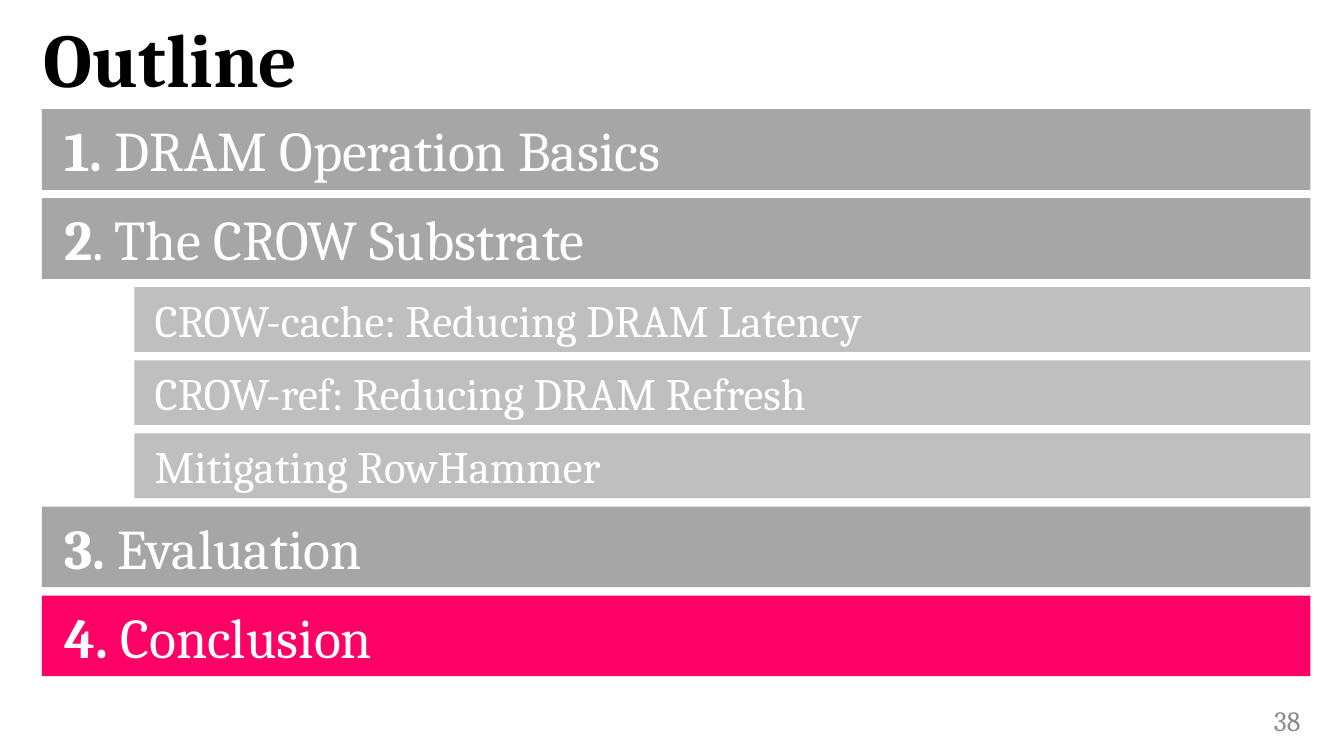
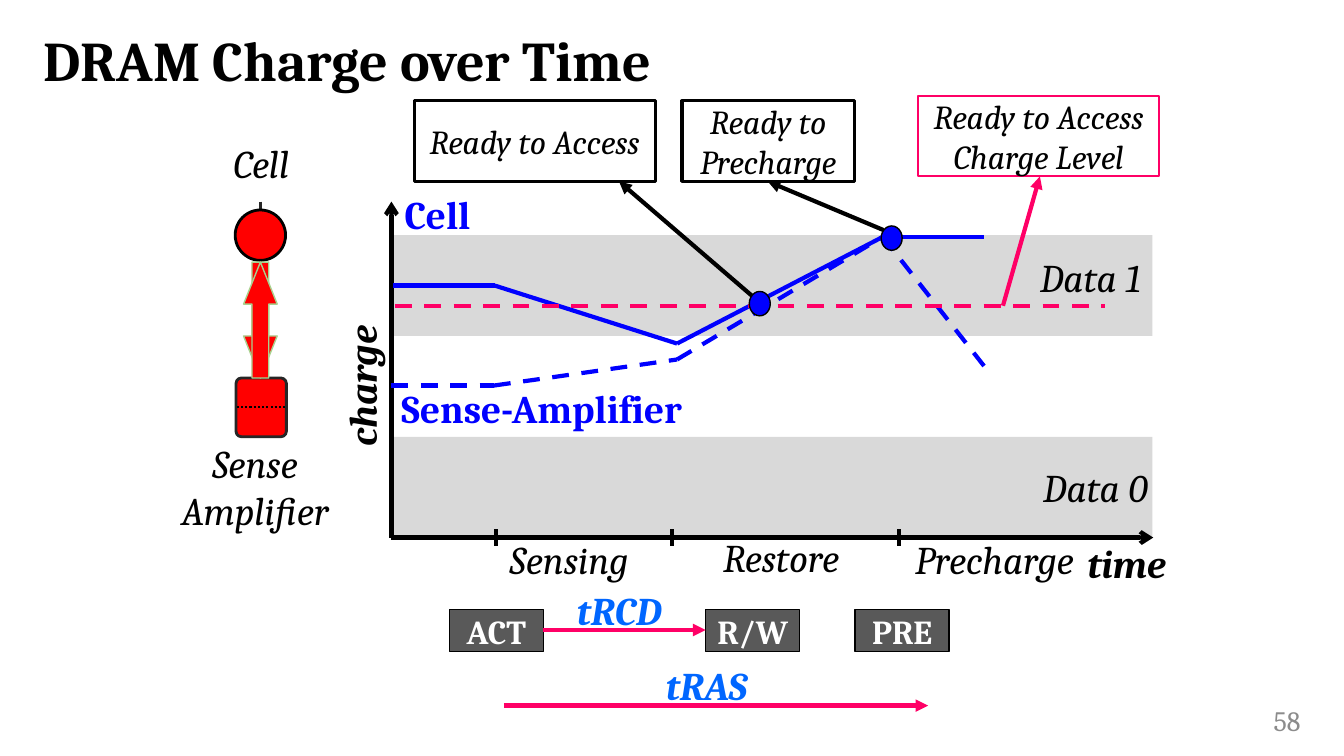
from itertools import pairwise

from lxml import etree
from pptx import Presentation
from pptx.dml.color import RGBColor
from pptx.enum.dml import MSO_LINE
from pptx.enum.shapes import MSO_CONNECTOR, MSO_SHAPE
from pptx.enum.text import MSO_ANCHOR, MSO_AUTO_SIZE, PP_ALIGN
from pptx.oxml.ns import qn
from pptx.util import Inches, Pt

RECT, ROUND, OVAL = MSO_SHAPE.RECTANGLE, MSO_SHAPE.ROUNDED_RECTANGLE, MSO_SHAPE.OVAL
DOWN, UP = MSO_SHAPE.DOWN_ARROW, MSO_SHAPE.UP_ARROW
STRAIGHT = MSO_CONNECTOR.STRAIGHT
DASH, DOT = MSO_LINE.DASH, MSO_LINE.ROUND_DOT
LEFT, CENTER, RIGHT = PP_ALIGN.LEFT, PP_ALIGN.CENTER, PP_ALIGN.RIGHT

COLORS = {
    "black": "000000", "white": "FFFFFF", "ink": "262626", "page": "8C8C8C",
    "bar": "A6A6A6", "subbar": "BFBFBF", "band": "D9D9D9", "command": "595959",
    "pink": "FF0066", "red": "FF0000", "blue": "0000FF", "timing": "0066FF", "edge": "A9D18E",
}
RGB = {name: RGBColor.from_string(value) for name, value in COLORS.items()}
FONT = "Cambria"

COLS, ROWS = 160, 90
prs = Presentation()
prs.slide_width, prs.slide_height = Inches(40 / 3), Inches(7.5)
CELL_W, CELL_H = prs.slide_width / COLS, prs.slide_height / ROWS


def add_box(s, kind, at, text="", size=28, color="black", align=CENTER, fill=None,
            line=None, weight=1, inset=0.1, **fmt):
    x, y, w, h = at
    pos = [int(v) for v in (x * CELL_W, y * CELL_H, w * CELL_W, h * CELL_H)]
    if kind is None:
        sp = s.shapes.add_textbox(*pos)
    else:
        sp = s.shapes.add_shape(kind, *pos)
        sp.shadow.inherit = False
    if fill:
        sp.fill.solid()
        sp.fill.fore_color.rgb = RGB[fill]
    else:
        sp.fill.background()
    if line:
        sp.line.color.rgb = RGB[line]
        sp.line.width = Pt(weight)
    else:
        sp.line.fill.background()
    if text:
        tf = sp.text_frame
        tf.word_wrap = True
        tf.vertical_anchor = MSO_ANCHOR.MIDDLE
        tf.margin_left = Inches(inset)
        tf.margin_right = Inches(min(inset, 0.1))
        for i, row in enumerate(text.split("\n")):
            p = tf.add_paragraph() if i else tf.paragraphs[0]
            p.alignment = align
            for j, part in enumerate(row.split("**")):
                if part:
                    r = p.add_run()
                    r.text = part
                    r.font.color.rgb = RGB[color]
                    run_fmt = {"name": FONT, "size": Pt(size), "bold": j % 2 == 1} | fmt
                    for key, value in run_fmt.items():
                        setattr(r.font, key, value)
    return sp


def add_line(s, start, end, color, weight=3, dash=None, head=None):
    (x1, y1), (x2, y2) = start, end
    ln = s.shapes.add_connector(STRAIGHT, int(x1 * CELL_W), int(y1 * CELL_H),
                                int(x2 * CELL_W), int(y2 * CELL_H))
    ln.line.color.rgb = RGB[color]
    ln.line.width = Pt(weight)
    if dash:
        ln.line.dash_style = dash
    if head:
        etree.SubElement(ln.line._get_or_add_ln(), qn("a:tailEnd"), type=head)
    etree.SubElement(ln._element.spPr, qn("a:effectLst"))


for title, size, number in [("Outline", 54, "38"), ("DRAM Charge over Time", 40, "58")]:
    s = prs.slides.add_slide(prs.slide_layouts[5])
    sp = s.shapes.title
    sp.left, sp.top = int(4 * CELL_W), int(2 * CELL_H)
    sp.width, sp.height = int(152 * CELL_W), int(11 * CELL_H)
    tf = sp.text_frame
    tf.text = title
    tf.word_wrap = True
    tf.auto_size = MSO_AUTO_SIZE.NONE
    tf.vertical_anchor = MSO_ANCHOR.MIDDLE
    p = tf.paragraphs[0]
    p.alignment, p.line_spacing = LEFT, 0.9
    r = p.runs[0]
    r.font.color.rgb = RGB["black"]
    for key, value in {"name": FONT, "size": Pt(size), "bold": True}.items():
        setattr(r.font, key, value)
    add_box(s, None, (144, 83.4, 12, 4.8), number, 20, "page", RIGHT)

outline, chart = prs.slides

LEVELS = {
    "section": {"left": 5, "height": 9.6, "size": 40, "fill": "bar", "inset": 0.22},
    "topic": {"left": 16, "height": 7.7, "size": 32, "fill": "subbar", "inset": 0.2},
    "current": {"left": 5, "height": 9.6, "size": 40, "fill": "pink", "inset": 0.22},
}
top, right_edge, gap = 13, 156, 1
for level, text in [
    ("section", "**1.** DRAM Operation Basics"),
    ("section", "**2**. The CROW Substrate"),
    ("topic", "CROW-cache: Reducing DRAM Latency"),
    ("topic", "CROW-ref: Reducing DRAM Refresh"),
    ("topic", "Mitigating RowHammer"),
    ("section", "**3.** Evaluation"),
    ("current", "**4.** Conclusion"),
]:
    f = LEVELS[level]
    add_box(outline, RECT, (f["left"], top, right_edge - f["left"], f["height"]), text,
            f["size"], "white", LEFT, f["fill"], inset=f["inset"])
    top += f["height"] + gap

s = chart
axis_x, axis_y = 46.6, 64
for band_top, label_at, text in [
    (52, (118, 52, 19.8, 12), "Data 0"),
    (28, (117, 27, 20, 12), "Data 1"),
]:
    add_box(s, RECT, (axis_x, band_top, 90.6, 12), fill="band")
    add_box(s, None, label_at, text, align=RIGHT, italic=True)

add_line(s, (axis_x, axis_y), (137.3, axis_y), "black", head="arrow")
add_line(s, (axis_x, axis_y), (axis_x, 24), "black", head="arrow")
for x in (59, 80, 107):
    add_line(s, (x, axis_y - 1), (x, axis_y + 1), "black", 2.75)
add_box(s, None, (123, 64, 17, 6), "time", align=RIGHT, bold=True, italic=True)
add_box(s, None, (25, 43, 36, 5.9), "charge", bold=True, italic=True).rotation = 270
for x, y, w, text in [
    (58.7, 64.1, 17.3, "Sensing"),
    (83.8, 63.8, 17.3, "Restore"),
    (105.6, 64.1, 23.4, "Precharge"),
]:
    add_box(s, None, (x, y, w, 4.9), text, align=RIGHT, italic=True)

add_box(s, None, (47, 22.6, 11, 5.6), "Cell", color="blue", align=LEFT, bold=True)
add_box(s, None, (axis_x, 45.7, 37.4, 5.6), "Sense-Amplifier", color="blue", align=LEFT, bold=True)
amplifier_curve = [(46.6, 45.9), (58.8, 45.9), (80.6, 42.8), (105.1, 28.2), (117.8, 44.4)]
cell_curve = [(46.8, 34), (58.9, 34), (80.6, 40.9), (105.1, 28.2), (117.1, 28.2)]
for curve, dash in [(amplifier_curve, DASH), (cell_curve, None)]:
    for start, end in pairwise(curve):
        add_line(s, start, end, "blue", dash=dash)

add_line(s, (31, 24), (31, 45), "ink", 2)
add_box(s, OVAL, (28, 25, 6, 6), fill="red", line="black", weight=2)
amplifier = add_box(s, ROUND, (28.1, 45, 6, 7), fill="red", line="ink", weight=2)
amplifier.adjustments[0] = 0.11
add_line(s, (28.2, 48.5), (34.1, 48.5), "black", 1.5, DOT)
for kind in (DOWN, UP):
    arrow = add_box(s, kind, (29, 31.2, 4, 13.8), fill="red", line="edge")
    arrow.adjustments[0], arrow.adjustments[1] = 0.5, 1.25
add_box(s, None, (24.7, 16.1, 12.8, 6.5), "Cell", italic=True)
add_box(s, None, (10.6, 54.7, 39.5, 6.5), "Sense\nAmplifier", italic=True)

for x, text in [(53.5, "ACT"), (84, "R/W"), (101.8, "PRE")]:
    add_box(s, RECT, (x, 72.6, 11.2, 5), text, 24, "white", fill="command", line="black",
            inset=0, bold=True)
for x1, x2, y, label_x, text in [(64.6, 84, 75, 66.6, "tRCD"), (60, 110.5, 84, 77, "tRAS")]:
    add_line(s, (x1, y), (x2, y), "pink", head="triangle")
    add_box(s, None, (label_x, y - 4.9, 14.3, 4.9), text, color="timing", bold=True, italic=True)

add_line(s, (47, 36.4), (131.5, 36.4), "pink", dash=DASH)
for x, y in [(89.2, 34.7), (104.9, 26.9)]:
    add_box(s, OVAL, (x, y, 2.5, 2.9), fill="blue", line="black")
for x, y, w, text, color, weight, start, end in [
    (49.3, 12, 28.7, "Ready to Access", "black", 2.25, (89.5, 35.2), (73.7, 21.6)),
    (81.2, 12, 20.5, "Ready to\nPrecharge", "black", 2.25, (105.2, 27.4), (91.4, 21.6)),
    (109.3, 11.4, 28.7, "Ready to Access\nCharge Level", "pink", 1.5, (119.4, 36.4), (123.8, 21)),
]:
    add_line(s, start, end, color, head="triangle")
    add_box(s, RECT, (x, y, w, 9.6), text, 24, line=color, weight=weight, italic=True)

prs.save("out.pptx")
